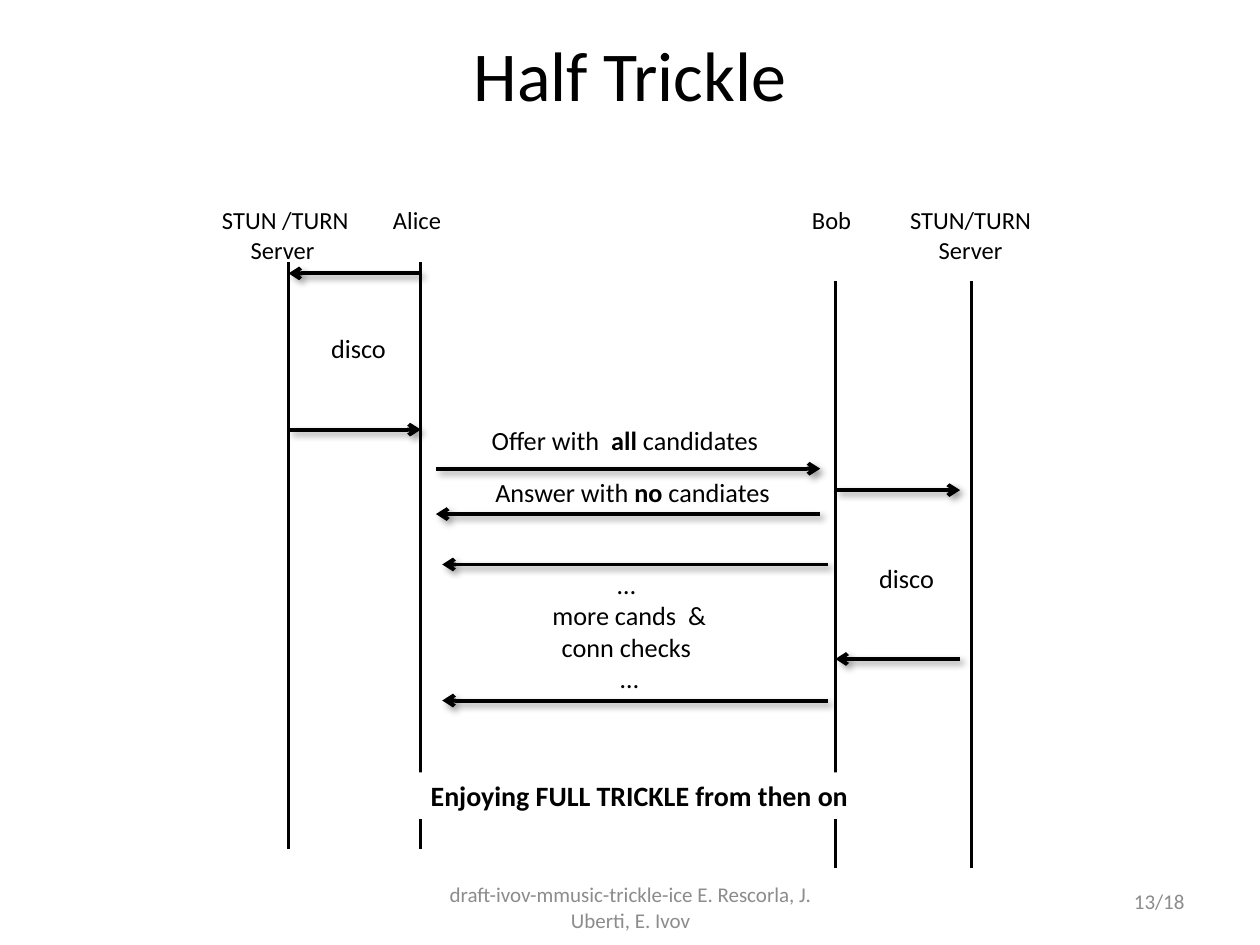
from copy import deepcopy

from pptx import Presentation
from pptx.dml.color import RGBColor
from pptx.enum.shapes import MSO_CONNECTOR, MSO_SHAPE
from pptx.enum.text import MSO_ANCHOR as ANCHOR, PP_ALIGN as ALIGN
from pptx.oxml import parse_xml
from pptx.oxml.ns import nsdecls
from pptx.util import Inches, Pt

BLACK, GREY, WHITE = (RGBColor.from_string(c) for c in ("000000", "8C8C8C", "FFFFFF"))
SHADOW = ('<a:outerShdw blurRad="50800" dist="38100" dir="2700000" algn="tl" rotWithShape="0">'
          '<a:srgbClr val="000000"><a:alpha val="40000"/></a:srgbClr></a:outerShdw>')

prs = Presentation()
prs.slide_width, prs.slide_height = Inches(10), Inches(7.5)
s = prs.slides.add_slide(prs.slide_layouts[6])


def text(words, x, y, w, h, size=15, color=BLACK, align=ALIGN.CENTER,
         anchor=ANCHOR.TOP, bold=False, fill=None):
    """Place text; *stars* switch bold and a newline becomes a line break."""
    box = Inches(x), Inches(y), Inches(w), Inches(h)
    if fill is None:
        sp = s.shapes.add_textbox(*box)
    else:
        sp = s.shapes.add_shape(MSO_SHAPE.RECTANGLE, *box)
        sp.shadow.inherit = False
        sp.fill.solid()
        sp.fill.fore_color.rgb = fill
        sp.line.fill.background()
    tf = sp.text_frame
    tf.word_wrap = True
    tf.vertical_anchor = anchor
    p = tf.paragraphs[0]
    p.alignment = align
    for i, part in enumerate(words.split("*")):
        for j, line in enumerate(part.split("\n")):
            if j:
                p.add_line_break()
                p._p[-1].append(deepcopy(r._r.rPr))
            r = p.add_run()
            r.text = line
            r.font.name, r.font.size = "Calibri", Pt(size)
            r.font.bold = bold or i % 2 == 1
            r.font.color.rgb = color


def line(x1, y1, x2, y2, arrow=False):
    """Draw a plain lifeline, or a shadowed message arrow pointing at x2, y2."""
    c = s.shapes.add_connector(MSO_CONNECTOR.STRAIGHT,
                               Inches(x1), Inches(y1), Inches(x2), Inches(y2))
    c.line.color.rgb = BLACK
    c.line.width = Pt(2.25 if arrow else 1.5)
    if arrow:
        c.line._get_or_add_ln().append(
            parse_xml(f'<a:tailEnd type="arrow" {nsdecls("a")}/>'))
    c._element.spPr.append(parse_xml(
        f'<a:effectLst {nsdecls("a")}>{SHADOW if arrow else ""}</a:effectLst>'))


text("Half Trickle", 0.5, 0.08, 9, 1, size=40, anchor=ANCHOR.MIDDLE)

# Lifelines and their names
A_SERVER, ALICE, BOB, B_SERVER = 2.29, 3.34, 6.63, 7.71
LIFE = 4.66
for x, top in ((A_SERVER, 2.08), (ALICE, 2.08), (BOB, 2.23), (B_SERVER, 2.23)):
    line(x, top, x, top + LIFE)
for name, x, w, h in (("STUN /TURN\nServer ", 1.5, 1.53, 0.5), ("Alice", 2.79, 1.04, 0.33),
                      ("Bob", 6.08, 1.04, 0.33), ("STUN/TURN \nServer ", 6.87, 1.71, 0.5)):
    text(name, x, 1.58, w, h, size=14)

# Messages: start, end, height
for x1, x2, y in ((ALICE, A_SERVER, 2.17), (A_SERVER, ALICE, 3.41),
                  (BOB, 7.62, 3.89), (7.62, BOB, 5.23),
                  (3.46, 6.51, 3.72), (6.51, 3.46, 4.08),
                  (6.57, 3.51, 4.48), (6.57, 3.51, 5.56)):
    line(x1, y, x2, y, arrow=True)

for words, x, y, w, h in (("disco", 2.12, 2.59, 1.45, 0.35),
                          ("disco", 6.52, 4.41, 1.35, 0.35),
                          ("Offer with  *all *candidates", 2.83, 3.32, 4.26, 0.35),
                          ("Answer with *no *candiates", 3.45, 3.73, 3.14, 0.35),
                          ("… \nmore cands  &\nconn checks \n…", 3.16, 4.46, 3.67, 1.11)):
    text(words, x, y, w, h)

text("Enjoying FULL TRICKLE from then on", 2.49, 6.13, 5.17, 0.37,
     size=16, bold=True, fill=WHITE)

# Footer
text("draft-ivov-mmusic-trickle-ice E. Rescorla, J. Uberti, E. Ivov", 3.42, 7, 3.17, 0.4,
     size=12, color=GREY, anchor=ANCHOR.MIDDLE)
text("13/18", 7.17, 6.95, 2.33, 0.4, size=12, color=GREY,
     align=ALIGN.RIGHT, anchor=ANCHOR.MIDDLE)

prs.save("out.pptx")
